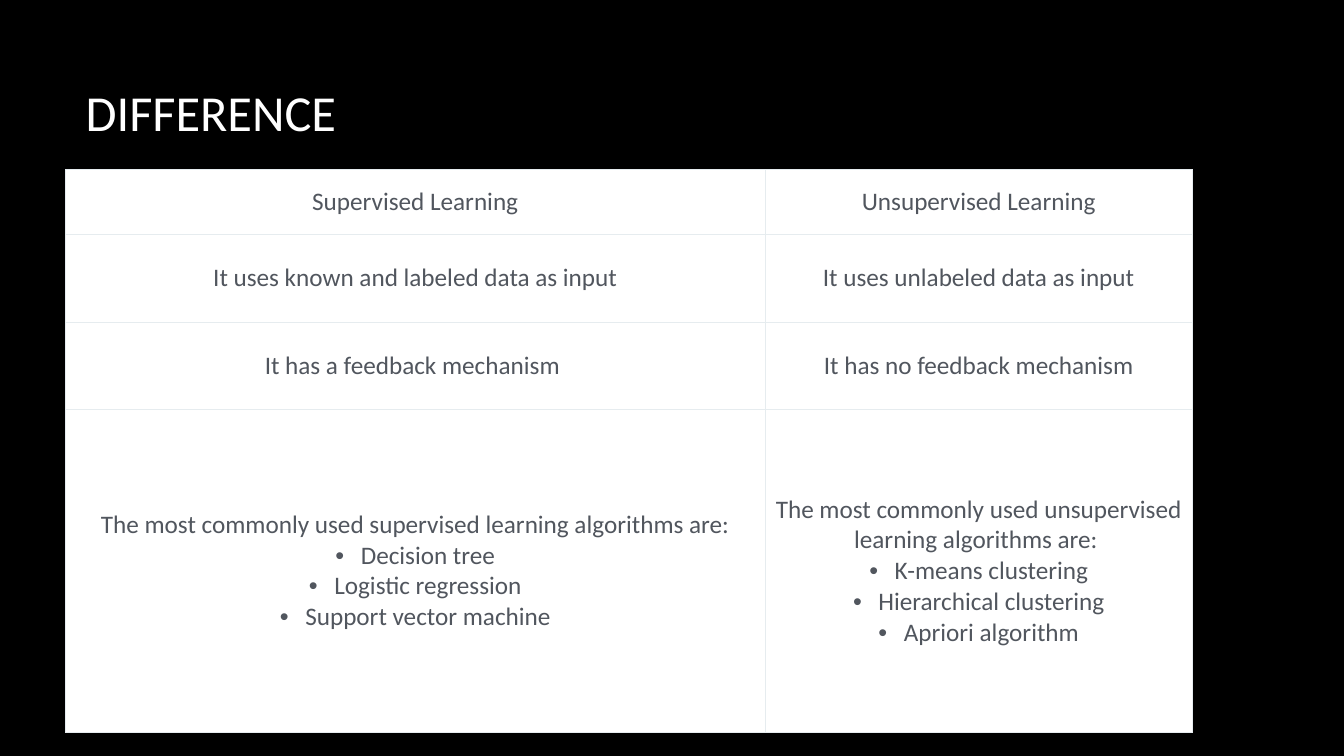
"""Build the slide comparing supervised and unsupervised learning."""
from lxml.etree import SubElement
from pptx import Presentation
from pptx.dml.color import RGBColor
from pptx.enum.text import MSO_ANCHOR, PP_ALIGN
from pptx.oxml.ns import qn
from pptx.util import Cm, Pt

TITLE = "DIFFERENCE"
ROWS = [
    (["Supervised Learning"], ["Unsupervised Learning"]),
    (["It uses known and labeled data as input"], ["It uses unlabeled data as input"]),
    (["It has a feedback mechanism "], ["It has no feedback mechanism"]),
    (
        ["The most commonly used supervised learning algorithms are:",
         "Decision tree", "Logistic regression", "Support vector machine"],
        ["The most commonly used unsupervised learning algorithms are: ",
         "K-means clustering", "Hierarchical clustering", "Apriori algorithm"],
    ),
]
COLORS = {"background": "000000", "title": "FFFFFF", "cell": "FFFFFF",
          "text": "51565E", "border": "E6ECEF"}
COLUMN_WIDTHS = [Cm(17.63), Cm(10.77)]
ROW_HEIGHTS = [Cm(1.63), Cm(2.21), Cm(2.21), Cm(8.13)]
TITLE_BOX = (Cm(1.91), Cm(1.7), Cm(28.14), Cm(2.21))
TABLE_ORIGIN = (Cm(1.65), Cm(4.27))
BULLET_INDENT = Cm(0.64)
CELL_FORMAT = {"margin_left": Cm(0.13), "margin_right": Cm(0.13),
               "margin_top": Cm(0.15), "margin_bottom": Cm(0.15),
               "vertical_anchor": MSO_ANCHOR.MIDDLE}
TITLE_FORMAT = {"word_wrap": True, "vertical_anchor": MSO_ANCHOR.MIDDLE}
TITLE_FONT = {"name": "Calibri", "size": Pt(36)}
CELL_FONT = {"name": "Calibri", "size": Pt(18)}


def apply_format(target, values):
    for name, value in values.items():
        setattr(target, name, value)


def color(name):
    return RGBColor.from_string(COLORS[name])


def write(paragraph, text, font, color_name):
    run = paragraph.add_run()
    run.text = text
    apply_format(run.font, font)
    run.font.color.rgb = color(color_name)


def add_bullet(paragraph):
    properties = paragraph._p.get_or_add_pPr()
    properties.set("marL", str(BULLET_INDENT))
    properties.set("indent", str(-BULLET_INDENT))
    SubElement(properties, qn("a:buFont"), typeface="Arial")
    SubElement(properties, qn("a:buChar"), char="•")


def add_borders(cell):
    properties = cell._tc.get_or_add_tcPr()
    for position, side in enumerate(("a:lnL", "a:lnR", "a:lnT", "a:lnB")):
        line = SubElement(properties, qn(side), w=str(Pt(0.5)))
        fill = SubElement(line, qn("a:solidFill"))
        SubElement(fill, qn("a:srgbClr"), val=COLORS["border"])
        properties.insert(position, line)


def fill_cell(cell, lines):
    apply_format(cell, CELL_FORMAT)
    cell.fill.solid()
    cell.fill.fore_color.rgb = color("cell")
    add_borders(cell)
    frame = cell.text_frame
    for index, text in enumerate(lines):
        paragraph = frame.add_paragraph() if index else frame.paragraphs[0]
        paragraph.alignment = PP_ALIGN.CENTER
        if index:
            add_bullet(paragraph)
        write(paragraph, text, CELL_FONT, "text")


def add_title(slide):
    frame = slide.shapes.add_textbox(*TITLE_BOX).text_frame
    apply_format(frame, TITLE_FORMAT)
    write(frame.paragraphs[0], TITLE, TITLE_FONT, "title")


def add_comparison(slide):
    table = slide.shapes.add_table(
        len(ROWS), len(COLUMN_WIDTHS), *TABLE_ORIGIN,
        sum(COLUMN_WIDTHS), sum(ROW_HEIGHTS)).table
    apply_format(table, {"first_row": False, "horz_banding": False})
    for column, width in zip(table.columns, COLUMN_WIDTHS):
        column.width = width
    for row, height, contents in zip(table.rows, ROW_HEIGHTS, ROWS):
        row.height = height
        for cell, lines in zip(row.cells, contents):
            fill_cell(cell, lines)


def main():
    presentation = Presentation()
    apply_format(presentation, {"slide_width": Cm(33.87), "slide_height": Cm(19.05)})
    slide = presentation.slides.add_slide(presentation.slide_layouts[6])
    slide.background.fill.solid()
    slide.background.fill.fore_color.rgb = color("background")
    add_title(slide)
    add_comparison(slide)
    presentation.save("out.pptx")


if __name__ == "__main__":
    main()
